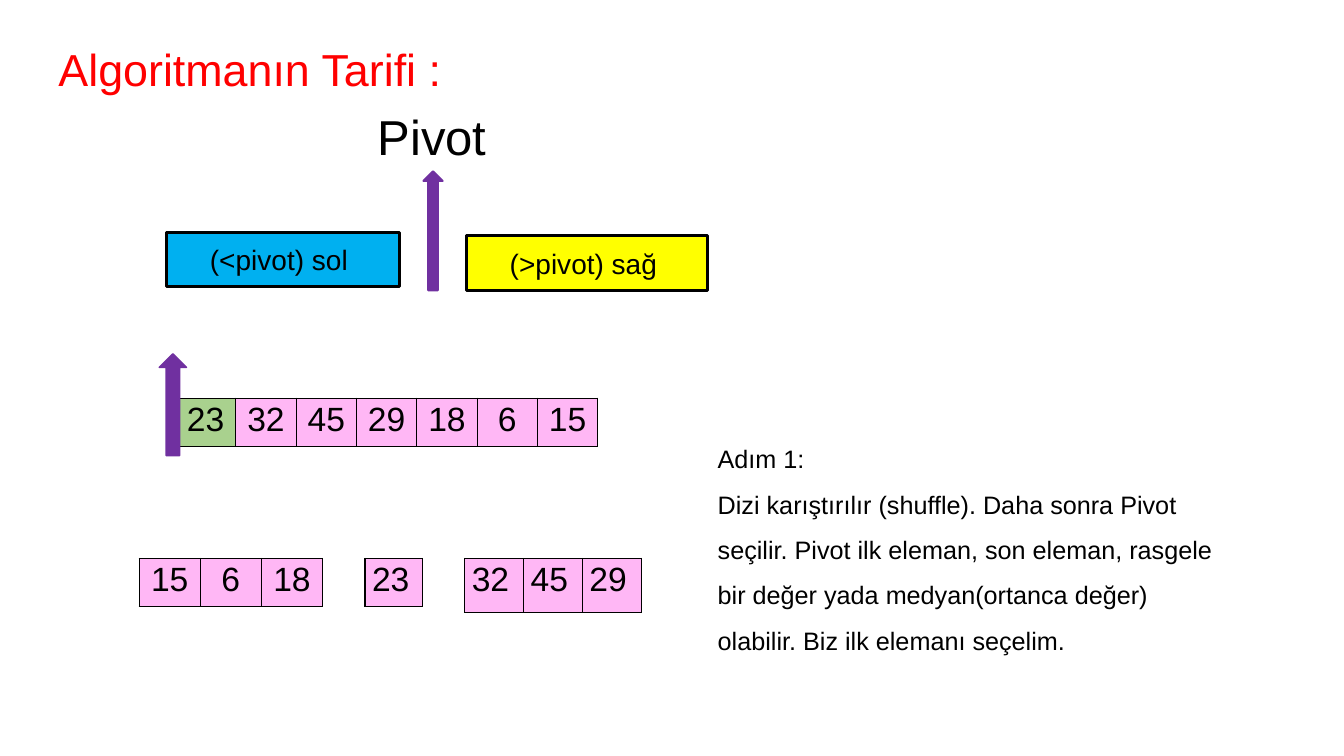
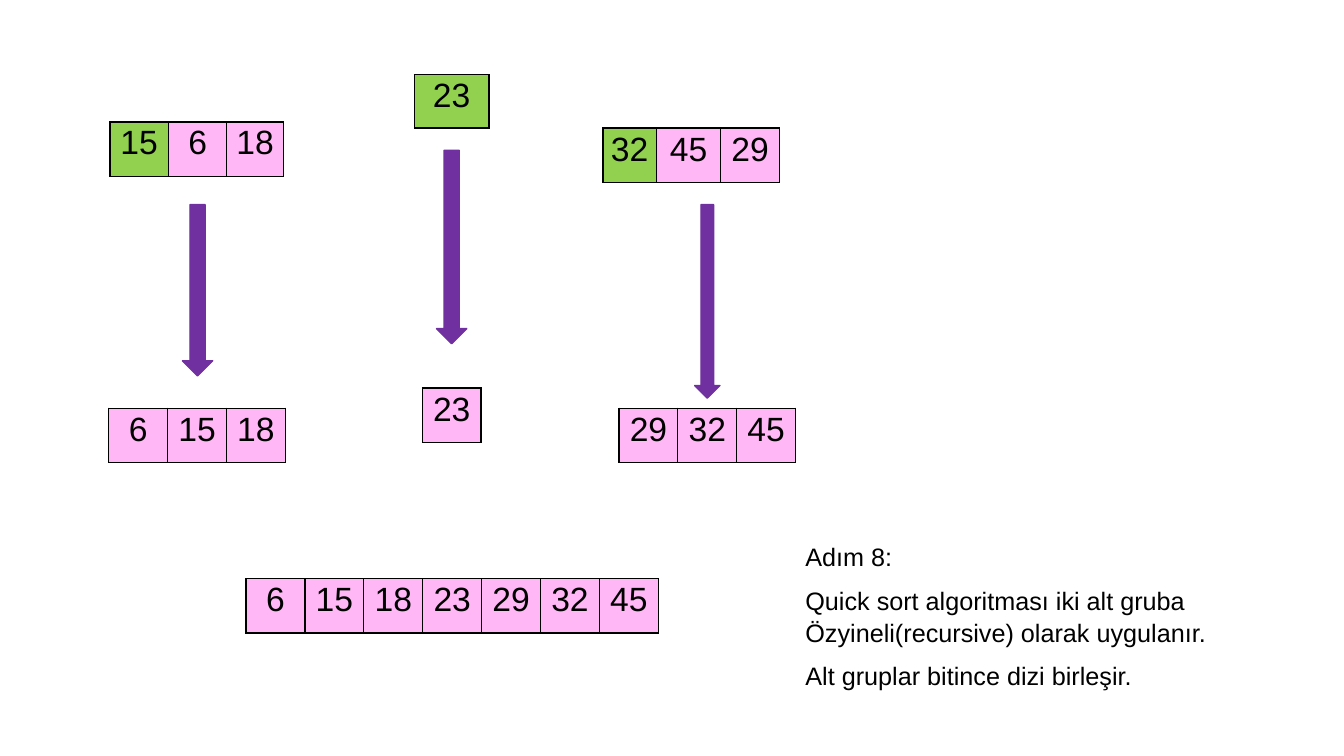
from dataclasses import dataclass

from lxml.etree import SubElement
from pptx import Presentation
from pptx.dml.color import RGBColor
from pptx.enum.shapes import MSO_SHAPE
from pptx.enum.text import MSO_ANCHOR, MSO_AUTO_SIZE, PP_ALIGN
from pptx.oxml import parse_xml
from pptx.oxml.ns import nsdecls, qn
from pptx.util import Inches, Pt


@dataclass(frozen=True)
class Theme:
    font: str = "Arial"
    ink: str = "000000"
    title: str = "FF0000"
    arrow: str = "7030A0"
    cell: str = "FFB7F5"
    first_pivot: str = "A9D18E"
    pivot: str = "92D050"
    smaller: str = "00B0F0"
    larger: str = "FFFF00"
    title_size: int = 32
    pivot_size: int = 35
    cell_size: int = 24
    label_size: int = 20
    note_size: int = 18
    cell_border: int = 1
    spacing: float = 1.07


def apply(target, values):
    for name, value in values.items():
        setattr(target, name, value)


def lengths(*values):
    return [Inches(value) for value in values]


class SlideBuilder:
    def __init__(self, deck, theme):
        self.deck, self.theme, self.page = deck, theme, None

    def start(self, layout):
        self.page = self.deck.slides.add_slide(self.deck.slide_layouts[layout])

    def set_text(self, frame, lines, size, color=None, **layout):
        """Fill a text frame, one paragraph for each line."""
        frame.text = "\n".join(lines)
        for para in frame.paragraphs:
            apply(para, layout)
            for span in para.runs:
                apply(span.font, {"name": self.theme.font, "size": Pt(size), "bold": False})
                span.font.color.rgb = RGBColor.from_string(color or self.theme.ink)

    def title(self, text, at):
        box = self.page.shapes.title
        apply(box, dict(zip(("left", "top", "width", "height"), lengths(*at))))
        apply(box.text_frame, {"word_wrap": False, "auto_size": MSO_AUTO_SIZE.NONE,
                               "vertical_anchor": MSO_ANCHOR.TOP})
        self.set_text(box.text_frame, [text], self.theme.title_size, self.theme.title,
                      alignment=PP_ALIGN.LEFT, line_spacing=self.theme.spacing)

    def text(self, lines, at, size, **layout):
        box = self.page.shapes.add_textbox(*lengths(*at))
        box.text_frame.word_wrap = True
        self.set_text(box.text_frame, lines, size, **layout)

    def shape(self, kind, at, fill, line, weight):
        box = self.page.shapes.add_shape(kind, *lengths(*at))
        box.shadow.inherit = False
        box.fill.solid()
        box.fill.fore_color.rgb = RGBColor.from_string(fill)
        box.line.color.rgb = RGBColor.from_string(line)
        box.line.width = Pt(weight)
        return box

    def label(self, text, at, fill):
        box = self.shape(MSO_SHAPE.RECTANGLE, at, fill, self.theme.ink, 2.25)
        box.text_frame.vertical_anchor = MSO_ANCHOR.MIDDLE
        self.set_text(box.text_frame, [text], self.theme.label_size, alignment=PP_ALIGN.CENTER)

    def arrow(self, kind, at, weight=1):
        self.shape(kind, at, self.theme.arrow, self.theme.arrow, weight)

    def border(self, cell):
        properties = cell._tc.get_or_add_tcPr()
        for index, side in enumerate(("lnL", "lnR", "lnT", "lnB")):
            line = parse_xml(f'<a:{side} {nsdecls("a")} w="{Pt(self.theme.cell_border)}"/>')
            fill = SubElement(line, qn("a:solidFill"))
            SubElement(fill, qn("a:srgbClr")).set("val", self.theme.ink)
            properties.insert(index, line)

    def array(self, values, at, pivot=None, widths=None, align=PP_ALIGN.CENTER):
        """Draw numbers as a one-row table; pivot colours the first cell."""
        table = self.page.shapes.add_table(1, len(values), *lengths(*at)).table
        apply(table, {"first_row": False, "horz_banding": False})
        widths = widths or [at[2] / len(values)] * len(values)
        for index, (value, width) in enumerate(zip(values, widths)):
            table.columns[index].width = Inches(width)
            cell = table.cell(0, index)
            apply(cell, {"margin_left": Inches(0.07), "margin_right": Inches(0.07),
                         "margin_top": 0, "margin_bottom": 0})
            color = pivot if pivot and index == 0 else self.theme.cell
            cell.fill.solid()
            cell.fill.fore_color.rgb = RGBColor.from_string(color)
            self.border(cell)
            self.set_text(cell.text_frame, [str(value)], self.theme.cell_size,
                          alignment=align, line_spacing=self.theme.spacing)


TITLE_ONLY, BLANK = 5, 6
theme = Theme()
deck = Presentation()
apply(deck, {"slide_width": Inches(13.33), "slide_height": Inches(7.5)})
build = SlideBuilder(deck, theme)

# Slide 1: choosing the pivot and splitting the array
build.start(TITLE_ONLY)
build.title("Algoritmanın Tarifi :", (0.48, 0.33, 4.03, 0.65))
build.text(["Pivot"], (3.09, 1.01, 2.39, 0.69), theme.pivot_size, alignment=PP_ALIGN.CENTER)
build.label("(<pivot) sol ", (1.65, 2.31, 2.31, 0.53), theme.smaller)
build.arrow(MSO_SHAPE.UP_ARROW, (4.2, 1.7, 0.19, 1.18), 1.5)
build.label("(>pivot) sağ ", (4.63, 2.34, 2.39, 0.54), theme.larger)
build.array([23, 32, 45, 29, 18, 6, 15], (1.74, 3.95, 4.19, 0.48), theme.first_pivot)
build.arrow(MSO_SHAPE.UP_ARROW, (1.58, 3.51, 0.27, 1.01))
build.array([15, 6, 18], (1.38, 5.54, 1.82, 0.48))
build.array([23], (3.62, 5.54, 0.57, 0.48), align=PP_ALIGN.LEFT)
build.array([32, 45, 29], (4.61, 5.54, 1.75, 0.54), align=PP_ALIGN.LEFT)
build.text(["Adım 1:",
            "Dizi karıştırılır (shuffle). Daha sonra Pivot seçilir. Pivot ilk eleman, "
            "son eleman, rasgele bir değer yada medyan(ortanca değer) olabilir. "
            "Biz ilk elemanı seçelim."],
           (7.02, 4.2, 5.14, 2.32), theme.note_size, line_spacing=1.5)

# Slide 2: sorting the groups and joining them
build.start(BLANK)
build.array([15, 6, 18], (1.09, 1.21, 1.73, 0.54), theme.pivot, (0.58, 0.58, 0.56))
build.array([23], (4.11, 0.74, 0.74, 0.53), theme.pivot)
build.array([32, 45, 29], (5.98, 1.27, 1.75, 0.54), theme.pivot, (0.53, 0.64, 0.58))
for at in ((1.81, 2.03, 0.3, 1.7), (4.33, 1.49, 0.3, 1.92), (6.89, 2.03, 0.25, 1.92)):
    build.arrow(MSO_SHAPE.DOWN_ARROW, at)
build.array([6, 15, 18], (1.08, 4.05, 1.75, 0.54))
build.array([23], (4.19, 3.85, 0.58, 0.54))
build.array([29, 32, 45], (6.14, 4.05, 1.75, 0.54))
build.array([6, 15, 18, 23, 29, 32, 45], (2.44, 5.74, 4.09, 0.54))
build.text(["Adım 8:",
            "Quick sort algoritması iki alt gruba Özyineli(recursive) olarak uygulanır.",
            "Alt gruplar bitince dizi birleşir."],
           (7.89, 5.3, 4.44, 1.61), theme.note_size,
           line_spacing=theme.spacing, space_after=Pt(8))

deck.save("out.pptx")
